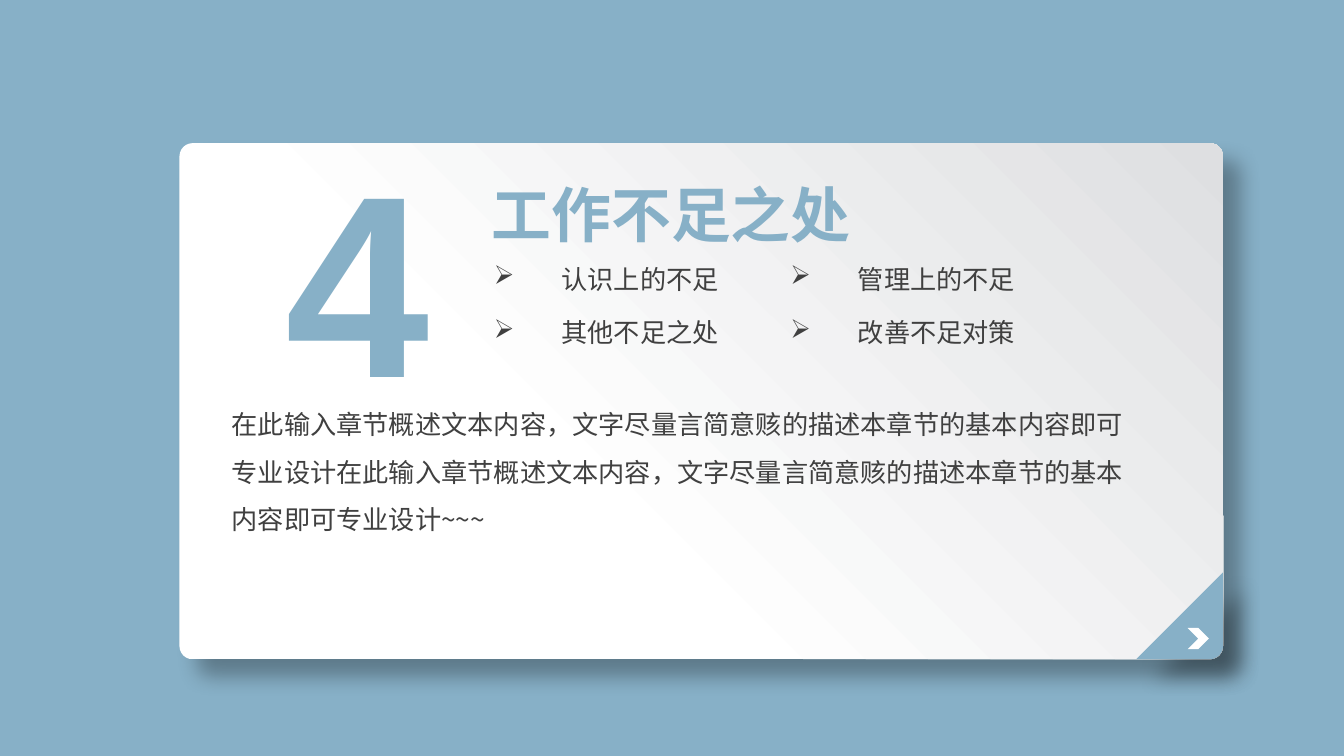
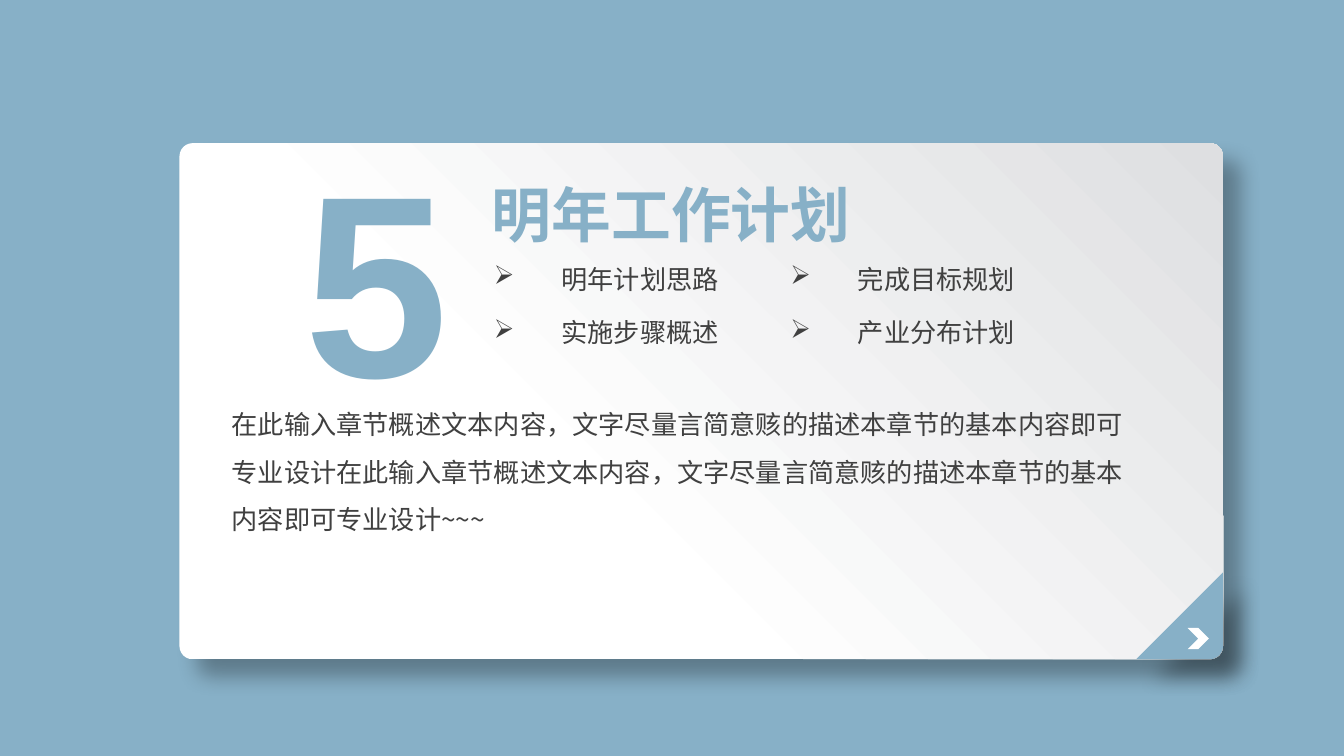
import math
from dataclasses import dataclass

from lxml import etree
from pptx import Presentation
from pptx import util as u
from pptx.dml.color import RGBColor
from pptx.enum import shapes, text
from pptx.oxml import parse_xml
from pptx.oxml.ns import nsdecls, qn

# Scale and shared style
PX = 9144  # EMU per px, 100 px to the inch
BLUE, WHITE, INK, GREY = "87B0C7", "FFFFFF", "404040", "DEDFE1"
LATIN, CJK = "Arial", "Noto Sans CJK SC"
NUMERAL = {"name": LATIN, "size": u.Pt(185), "bold": True}
TITLE = {"name": CJK, "size": u.Pt(42.7), "bold": True}
BODY = {"name": CJK, "size": u.Pt(18.7)}


@dataclass(frozen=True)
class Box:
    left: int
    top: int
    width: int
    height: int

    def emu(self) -> list[int]:
        return [px(v) for v in (self.left, self.top, self.width, self.height)]


@dataclass(frozen=True)
class Section:
    number: str
    number_left: int
    title: str
    topics: tuple[str, ...]


# Layout
CARD = Box(178, 142, 1035, 512)
RADIUS = 13
FOLD = 86
CHEVRON = Box(1178, 623, 21, 21)
TITLE_BOX = Box(478, 171, 379, 82)
TOPIC = Box(480, 256, 244, 42)
TOPIC_STEP_X, TOPIC_STEP_Y = 294, 53
TOPIC_COLUMNS = 2
BULLET_INDENT = 67
SUMMARY_BOX = Box(220, 385, 918, 152)

# Content
SUMMARY = (
    "在此输入章节概述文本内容，文字尽量言简意赅的描述本章节的基本内容即可专业设计"
    "在此输入章节概述文本内容，文字尽量言简意赅的描述本章节的基本内容即可专业设计~~~"
)
SECTIONS = (
    Section("4", 273, "工作不足之处",
            ("认识上的不足", "管理上的不足", "其他不足之处", "改善不足对策")),
    Section("5", 292, "明年工作计划",
            ("明年计划思路", "完成目标规划", "实施步骤概述", "产业分布计划")),
)


def px(value: int) -> int:
    return value * PX


def color(value: str) -> RGBColor:
    return RGBColor.from_string(value)


# Shape styling
def paint(shape, fill: str) -> None:
    shape.fill.solid()
    shape.fill.fore_color.rgb = color(fill)
    shape.line.fill.background()
    shape.shadow.inherit = False


def add_shadow(shape) -> None:
    effects = shape._element.spPr.find(qn("a:effectLst"))
    effects.append(parse_xml(
        f'<a:outerShdw {nsdecls("a")} blurRad="{u.Pt(15)}" dist="{u.Pt(18)}" '
        'dir="2700000" algn="tl" rotWithShape="0">'
        '<a:srgbClr val="000000"><a:alpha val="30000"/></a:srgbClr></a:outerShdw>'))


def add_corner_gradient(shape, inner: str, outer: str) -> None:
    """Circular gradient that starts at the top right corner."""
    properties = shape._element.spPr
    gradient = parse_xml(
        f'<a:gradFill {nsdecls("a")} rotWithShape="1"><a:gsLst>'
        f'<a:gs pos="0"><a:srgbClr val="{inner}"/></a:gs>'
        f'<a:gs pos="64000"><a:srgbClr val="{outer}"/></a:gs></a:gsLst>'
        '<a:path path="circle"><a:fillToRect l="100000" b="100000"/></a:path>'
        '</a:gradFill>')
    properties.replace(properties.find(qn("a:solidFill")), gradient)


# Card, folded corner and chevron
def add_card(page) -> None:
    card = page.shapes.add_shape(shapes.MSO_SHAPE.ROUNDED_RECTANGLE, *CARD.emu())
    card.adjustments[0] = RADIUS / CARD.height
    paint(card, WHITE)
    add_corner_gradient(card, GREY, WHITE)
    add_shadow(card)


def add_fold(page) -> None:
    right, bottom = CARD.left + CARD.width, CARD.top + CARD.height
    center_x, center_y = px(right - RADIUS), px(bottom - RADIUS)
    arc = []
    for degrees in range(0, 91, 10):
        angle = math.radians(degrees)
        arc.append((round(center_x + px(RADIUS) * math.cos(angle)),
                    round(center_y + px(RADIUS) * math.sin(angle))))
    outline = page.shapes.build_freeform(px(right), px(bottom - FOLD))
    outline.add_line_segments([*arc, (px(right - FOLD), px(bottom))])
    fold = outline.convert_to_shape()
    paint(fold, BLUE)
    add_shadow(fold)


def add_chevron(page) -> None:
    chevron = page.shapes.add_shape(shapes.MSO_SHAPE.CHEVRON, *CHEVRON.emu())
    paint(chevron, WHITE)


# Text
def add_text(page, box: Box, words: str, style: dict, ink: str,
             wrap: bool = False, bullet: str = "", spacing: float = 1.0) -> None:
    frame = page.shapes.add_textbox(*box.emu()).text_frame
    frame.word_wrap = wrap
    frame.auto_size = text.MSO_AUTO_SIZE.SHAPE_TO_FIT_TEXT
    para = frame.paragraphs[0]
    para.line_spacing = spacing
    if bullet:
        properties = para._p.get_or_add_pPr()
        properties.set("marL", str(px(BULLET_INDENT)))
        properties.set("indent", str(-px(BULLET_INDENT)))
        etree.SubElement(properties, qn("a:buChar")).set("char", bullet)
    span = para.add_run()
    span.text = words
    for name, value in style.items():
        setattr(span.font, name, value)
    span.font.color.rgb = color(ink)
    east_asian = etree.SubElement(span._r.get_or_add_rPr(), qn("a:ea"))
    east_asian.set("typeface", style["name"])
    # Schema order: east Asian font follows the Latin one
    span._r.rPr.find(qn("a:latin")).addnext(east_asian)


def add_topics(page, topics: tuple[str, ...]) -> None:
    for index, topic in enumerate(topics):
        row, column = divmod(index, TOPIC_COLUMNS)
        box = Box(TOPIC.left + column * TOPIC_STEP_X,
                  TOPIC.top + row * TOPIC_STEP_Y, TOPIC.width, TOPIC.height)
        add_text(page, box, topic, BODY, INK, bullet="➢")


def add_section(deck, section: Section) -> None:
    page = deck.slides.add_slide(deck.slide_layouts[6])
    page.background.fill.solid()
    page.background.fill.fore_color.rgb = color(BLUE)
    add_card(page)
    add_fold(page)
    add_chevron(page)
    number_box = Box(section.number_left, 113, 164, 321)
    add_text(page, number_box, section.number, NUMERAL, BLUE)
    add_text(page, TITLE_BOX, section.title, TITLE, BLUE)
    add_topics(page, section.topics)
    add_text(page, SUMMARY_BOX, SUMMARY, BODY, INK, wrap=True, spacing=1.5)


def main() -> None:
    deck = Presentation()
    deck.slide_width, deck.slide_height = px(1333), px(750)
    for section in SECTIONS:
        add_section(deck, section)
    deck.save("out.pptx")


if __name__ == "__main__":
    main()
